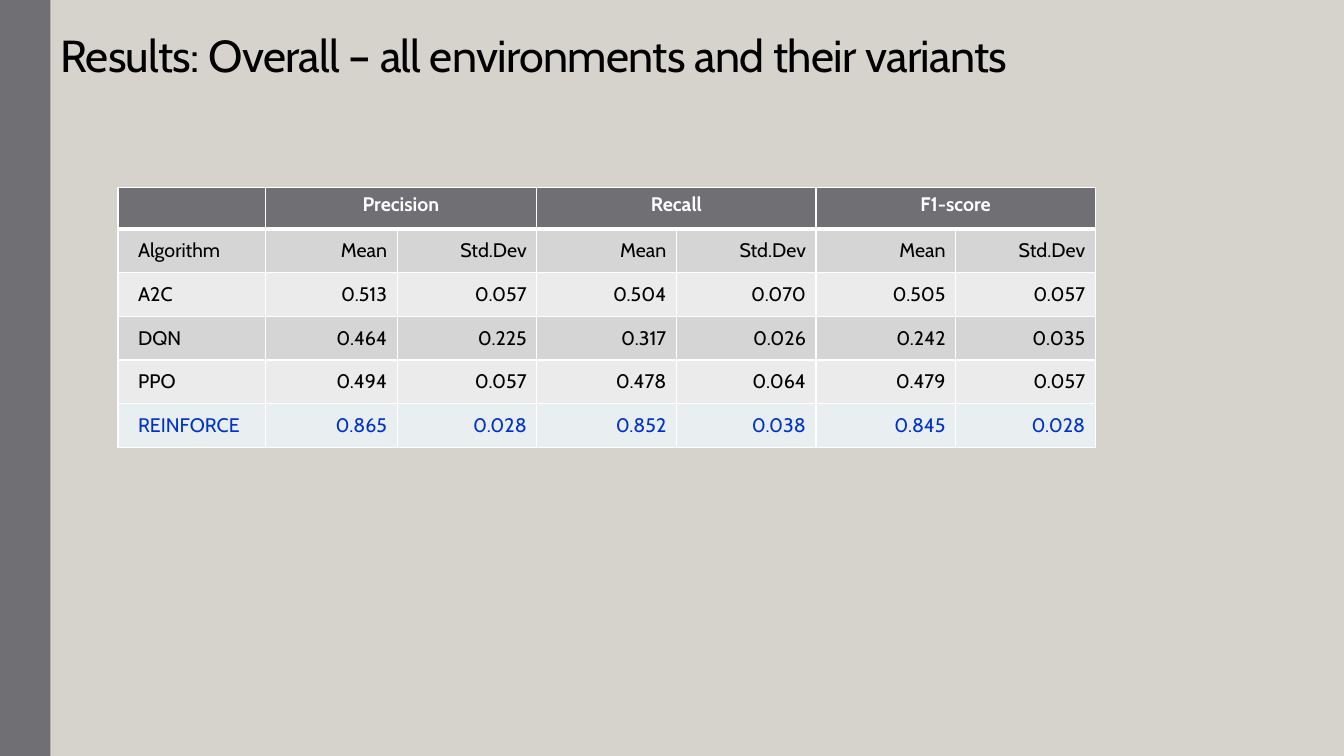
from lxml.etree import SubElement
from pptx import Presentation
from pptx.dml.color import RGBColor
from pptx.enum.shapes import MSO_SHAPE
from pptx.enum.text import MSO_ANCHOR, PP_ALIGN
from pptx.oxml.ns import qn
from pptx.util import Inches, Pt

# Content
TITLE = "Results: Overall – all environments and their variants"
METRICS = ["Precision", "Recall", "F1-score"]
ROWS = [
    ["Algorithm"] + ["Mean", "Std.Dev"] * len(METRICS),
    ["A2C", "0.513", "0.057", "0.504", "0.070", "0.505", "0.057"],
    ["DQN", "0.464", "0.225", "0.317", "0.026", "0.242", "0.035"],
    ["PPO", "0.494", "0.057", "0.478", "0.064", "0.479", "0.057"],
    ["REINFORCE", "0.865", "0.028", "0.852", "0.038", "0.845", "0.028"],
]

# Format
BLACK = RGBColor(0x00, 0x00, 0x00)
WHITE = RGBColor(0xFF, 0xFF, 0xFF)
BLUE = RGBColor(0x00, 0x33, 0xCC)
GRAY = RGBColor(0x6F, 0x6F, 0x74)
SAND = RGBColor(0xD6, 0xD3, 0xCC)
BANDS = [RGBColor(0xD5, 0xD5, 0xD6), RGBColor(0xEB, 0xEB, 0xEB)]
HIGHLIGHT = RGBColor(0xE9, 0xEE, 0xF1)
FONT = "Cabin"
WIDTH, HEIGHT = 13.33, 7.5
BAR_WIDTH = 0.5
TABLE_LEFT, TABLE_TOP, ROW_HEIGHT = 1.17, 1.86, 0.41
COLUMN_WIDTHS = [1.46, 1.31] + [1.385] * 5
THIN, THICK = 1, 3
BODY_CELL = {
    "vertical_anchor": MSO_ANCHOR.BOTTOM,
    "margin_left": Inches(0.2), "margin_right": Inches(0.1),
    "margin_top": Inches(0.1), "margin_bottom": Inches(0.1),
}


def set_attributes(target, values):
    for name, value in values.items():
        setattr(target, name, value)


def write(frame, text, size, color, align=PP_ALIGN.LEFT, bold=False):
    para = frame.paragraphs[0]
    para.alignment = align
    span = para.add_run()
    span.text = text
    set_attributes(span.font, {"name": FONT, "size": Pt(size), "bold": bold})
    span.font.color.rgb = color
    return para, span


def style_cell(cell, fill, top=THIN, bottom=THIN):
    properties = cell._tc.get_or_add_tcPr()
    for side, width in {"L": THIN, "R": THIN, "T": top, "B": bottom}.items():
        line = SubElement(properties, qn(f"a:ln{side}"), w=str(Pt(width)))
        solid = SubElement(line, qn("a:solidFill"))
        SubElement(solid, qn("a:srgbClr"), val=str(WHITE))
    cell.fill.solid()
    cell.fill.fore_color.rgb = fill


# Slide and background
deck = Presentation()
deck.slide_width, deck.slide_height = Inches(WIDTH), Inches(HEIGHT)
page = deck.slides.add_slide(deck.slide_layouts[6])
page.background.fill.solid()
page.background.fill.fore_color.rgb = SAND

# Title
box = page.shapes.add_textbox(Inches(BAR_WIDTH), 0, Inches(11.67), Inches(0.86))
set_attributes(box.text_frame, {"word_wrap": True, "vertical_anchor": MSO_ANCHOR.BOTTOM})
para, span = write(box.text_frame, TITLE, 32, BLACK)
para.line_spacing = 0.85
span.font._element.set("spc", "-50")

# Side bar
bar = page.shapes.add_shape(MSO_SHAPE.RECTANGLE, 0, 0, Inches(BAR_WIDTH), Inches(HEIGHT))
bar.shadow.inherit = False
bar.fill.solid()
bar.fill.fore_color.rgb = GRAY
bar.line.fill.background()

# Results table
row_count = len(ROWS) + 1
table = page.shapes.add_table(
    row_count, len(COLUMN_WIDTHS), Inches(TABLE_LEFT), Inches(TABLE_TOP),
    Inches(sum(COLUMN_WIDTHS)), Inches(ROW_HEIGHT * row_count)).table
for column, width in zip(table.columns, COLUMN_WIDTHS):
    column.width = Inches(width)
for row in table.rows:
    row.height = Inches(ROW_HEIGHT)

# Header row: each metric spans its mean and deviation
for column in range(len(COLUMN_WIDTHS)):
    style_cell(table.cell(0, column), GRAY, bottom=THICK)
for index, metric in enumerate(METRICS):
    cell = table.cell(0, 1 + 2 * index)
    cell.merge(table.cell(0, 2 + 2 * index))
    write(cell.text_frame, metric, 14, WHITE, PP_ALIGN.CENTER, bold=True)

# Body rows: alternating bands, last row highlighted
for index, values in enumerate(ROWS):
    best = index == len(ROWS) - 1
    fill = HIGHLIGHT if best else BANDS[index % 2]
    for column, value in enumerate(values):
        cell = table.cell(index + 1, column)
        style_cell(cell, fill, top=THIN if index else THICK)
        set_attributes(cell, BODY_CELL)
        write(cell.text_frame, value, 14, BLUE if best else BLACK,
              PP_ALIGN.RIGHT if column else PP_ALIGN.LEFT)

deck.save("out.pptx")
